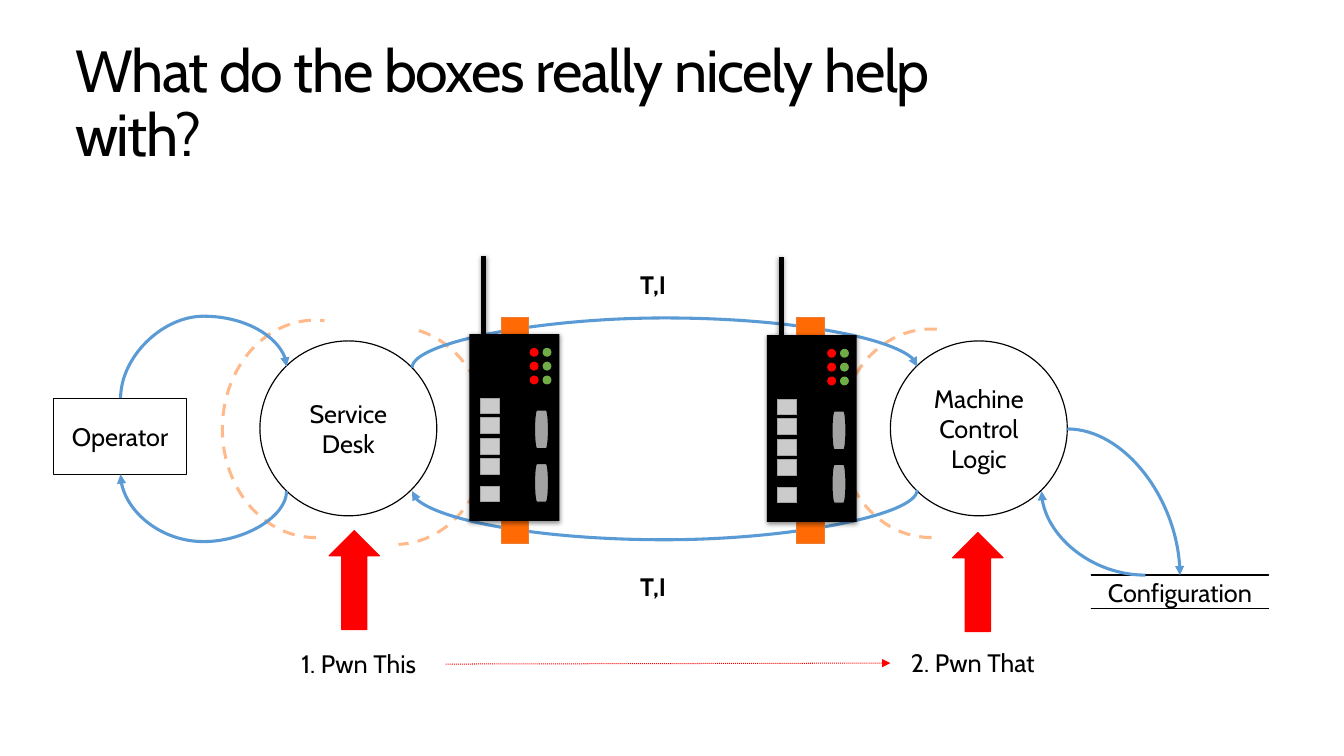
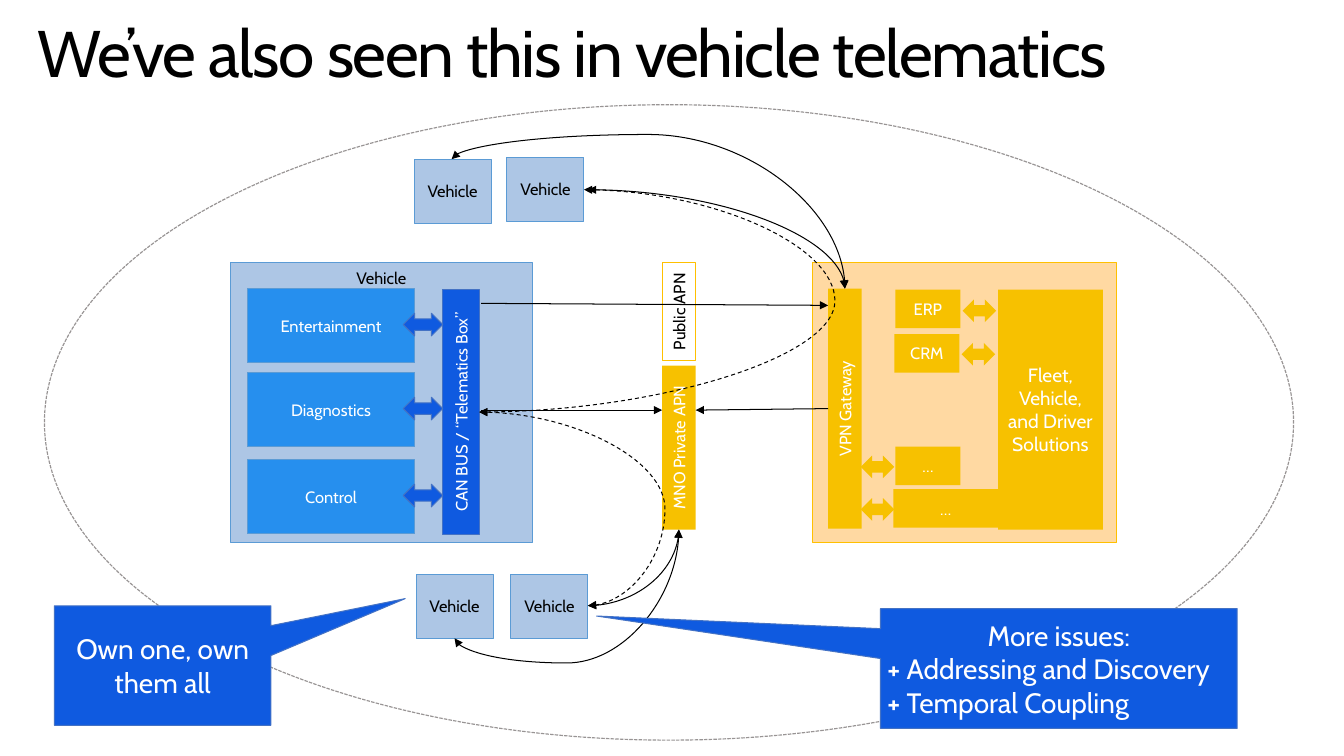
from lxml import etree
from pptx import Presentation
from pptx.dml.color import RGBColor
from pptx.enum.dml import MSO_LINE
from pptx.enum.shapes import MSO_CONNECTOR, MSO_SHAPE
from pptx.enum.text import MSO_ANCHOR, PP_ALIGN
from pptx.oxml.ns import qn
from pptx.util import Inches, Pt

RECT, OVAL, ARC = MSO_SHAPE.RECTANGLE, MSO_SHAPE.OVAL, MSO_SHAPE.ARC
EQUAL, UP = MSO_SHAPE.MATH_EQUAL, MSO_SHAPE.UP_ARROW
BOTH_WAYS, CALLOUT = MSO_SHAPE.LEFT_RIGHT_ARROW, MSO_SHAPE.RECTANGULAR_CALLOUT
PORT, ANTENNA = MSO_SHAPE.FLOWCHART_TERMINATOR, MSO_SHAPE.FLOWCHART_PROCESS
STRAIGHT, CURVE = MSO_CONNECTOR.STRAIGHT, MSO_CONNECTOR.CURVE
DASH, SYS_DASH, SYS_DOT = MSO_LINE.DASH, MSO_LINE.SQUARE_DOT, MSO_LINE.ROUND_DOT
LEFT, CENTER = PP_ALIGN.LEFT, PP_ALIGN.CENTER
TOP, MIDDLE = MSO_ANCHOR.TOP, MSO_ANCHOR.MIDDLE

FONT = "Cabin"
C = {
    "black": "000000", "white": "FFFFFF", "red": "FF0000", "green": "70AD47",
    "flow": "5B9BD5", "zone": "FF7619", "rail": "FF6A05", "rail_edge": "ED7D31",
    "socket": "CBCBCB", "socket_edge": "A5A5A5", "port": "A2A2A2", "cloud": "989494",
    "car": "ADC6E5", "module": "268FEE", "blue": "0F5AE0", "blue_edge": "4472C4",
    "yellow": "F7C100", "yellow_edge": "FFC000", "cream": "FFD9A2",
}
THIN = ("black", 0.85)
HAIR = ("black", 0.75)
FLOW = ("flow", 2.25)
CAR_EDGE, BLUE_EDGE = ("flow", 0.75), ("blue_edge", 0.75)
# Connection sites
T, L, B, R = range(4)
OVAL_TL, OVAL_BL, OVAL_BR, OVAL_R, OVAL_TR = 1, 3, 5, 6, 7

# Slide 1 content
DATA_FLOW = [  # name, shape, box, text
    ("desk", OVAL, (2.63, 3.45, 1.79, 1.77), "Service Desk"),
    ("logic", OVAL, (9.01, 3.45, 1.79, 1.77), "Machine Control Logic"),
    ("operator", RECT, (0.54, 4.03, 1.35, 0.77), "Operator"),
    ("config", EQUAL, (10.72, 5.53, 2.44, 0.92), "Configuration"),
]
ZONES = [  # box, arc angles in degrees
    ((2.25, 3.24, 1.88, 2.2), (89.64, 274.88)),
    ((8.5, 3.33, 1.84, 2.11), (89.64, 274.88)),
    ((3.06, 3.31, 1.88, 2.2), (282.68, 88.27)),
]
FLOWS = [  # start, end, turning height (None: one bend), joined shapes and sites
    ((10.8, 4.34), (11.94, 5.82), None, ("logic", OVAL_R), None),
    ((11.59, 5.82), (10.54, 4.97), None, None, ("logic", OVAL_BL)),
    ((9.28, 4.96), (4.17, 4.97), 5.47, ("logic", OVAL_BL), ("desk", OVAL_BR)),
    ((4.17, 3.72), (9.28, 3.71), 3.21, ("desk", OVAL_TR), ("logic", OVAL_TL)),
    ((1.22, 4.03), (2.9, 3.71), 3.2, ("operator", T), ("desk", OVAL_TL)),
    ((2.9, 4.97), (1.22, 4.8), 5.48, ("desk", OVAL_BL), ("operator", B)),
]
LABELS = [
    ((6.38, 2.68, 0.5, 0.42), "T,I", True),
    ((6.38, 5.73, 0.5, 0.42), "T,I", True),
    ((2.95, 6.51, 1.49, 0.42), "1. Pwn This", False),
    ((9.12, 6.5, 1.54, 0.42), "2. Pwn That", False),
]
DEVICES = [(4.75, 3.38), (7.76, 3.39)]
RAILS = [5.07, 8.06]
TARGETS = [(3.33, 5.37), (9.64, 5.39)]

# Slide 2 content
MODULES = [("Entertainment", 2.92), ("Diagnostics", 3.77), ("Control", 4.65)]
BACK_OFFICE = [  # name, box, text, size, vertical
    ("vpn", (8.38, 2.92, 0.34, 2.43), "VPN Gateway", 12, True),
    ("erp", (9.06, 2.93, 0.66, 0.39), "ERP", 12, False),
    ("crm", (9.05, 3.38, 0.66, 0.39), "CRM", 12, False),
    ("fleet", (10.1, 2.93, 1.06, 2.43), "Fleet, Vehicle, and Driver Solutions", 14, False),
    ("other", (9.06, 4.52, 0.66, 0.39), "…", 12, False),
    ("more", (9.04, 4.95, 1.06, 0.39), "…", 12, False),
    ("mno", (6.7, 3.7, 0.34, 1.66), "MNO Private APN", 12, True),
]
OFFICE_ARROWS = [(8.71, 4.61), (8.71, 5.04), (9.74, 3.03), (9.73, 3.47)]
CARS = [("car1", 4.19, 1.61), ("car2", 5.13, 1.59), ("car3", 4.21, 5.81), ("car4", 5.17, 5.81)]
LINKS = [  # start, end, turn, vertical start, dash, joined shapes and sites
    ((5.95, 1.92), (8.55, 2.92), None, False, None, ("car2", R), ("vpn", T)),
    ((5.95, 6.13), (6.87, 5.36), None, False, None, ("car4", R), ("mno", B)),
    ((4.6, 6.46), (6.87, 5.36), 6.71, True, None, ("car3", B), ("mno", B)),
    ((4.57, 1.61), (8.55, 2.92), 1.36, True, None, ("car1", T), ("vpn", T)),
    ((5.95, 6.13), (4.85, 4.17), 6.73, False, DASH, ("car4", R), ("bus", R)),
    ((4.85, 4.17), (5.91, 1.92), 8.45, False, DASH, ("bus", R), ("car2", R)),
]
CALLOUTS = [  # box, pointer, paragraphs of (alignment, runs of (text, bold))
    ((0.55, 6.13, 2.19, 1.21), (1.121, -0.56),
     [(CENTER, [("Own one, own them all", False)])]),
    ((8.91, 6.16, 3.61, 1.21), (-1.296, -0.439),
     [(CENTER, [("More issues:", False)]),
      (LEFT, [("+", True), (" Addressing and Discovery", False)]),
      (LEFT, [("+", True), (" Temporal Coupling", False)])]),
]


def rgb(name):
    return RGBColor.from_string(C[name])


def inches(values):
    return [Inches(v) for v in values]


def sub(parent, tag, **attrs):
    return etree.SubElement(parent, qn(tag), {k: str(v) for k, v in attrs.items()})


def set_line(line, color, width, dash=None, alpha=None):
    line.color.rgb = rgb(color)
    line.width = Pt(width)
    if dash:
        line.dash_style = dash
    if alpha:
        clr = line.fill._xPr.find(".//" + qn("a:srgbClr"))
        sub(clr, "a:alpha", val=alpha * 1000)


def write(sp, paragraphs, size=12, color="black", anchor=MIDDLE, ins=None,
          vertical=False, wrap=True):
    tf = sp.text_frame
    tf.word_wrap = wrap
    tf.vertical_anchor = anchor
    if ins:
        for side, v in zip(("left", "top", "right", "bottom"), ins):
            setattr(tf, "margin_" + side, Inches(v))
    if vertical:
        tf._txBody.bodyPr.set("vert", "vert270")
    for i, (align, runs) in enumerate(paragraphs):
        p = tf.add_paragraph() if i else tf.paragraphs[0]
        p.alignment = align
        for text, bold in runs:
            r = p.add_run()
            r.text = text
            for key, v in {"name": FONT, "size": Pt(size), "bold": bold}.items():
                setattr(r.font, key, v)
            r.font.color.rgb = rgb(color)
    return tf


def put(shapes, kind, box, fill=None, line=None, text=None, adj=(), shadow=False, **style):
    sp = shapes.add_shape(kind, *inches(box))
    sp.shadow.inherit = False
    for i, v in enumerate(adj):
        sp.adjustments[i] = v
    if fill:
        sp.fill.solid()
        sp.fill.fore_color.rgb = rgb(fill)
    else:
        sp.fill.background()
    if line:
        set_line(sp.line, *line)
    else:
        sp.line.fill.background()
    if shadow:
        shade = sub(sp._element.spPr.find(qn("a:effectLst")), "a:outerShdw",
                    blurRad=Pt(3.5), dist=Pt(1.1), dir=90 * 60000, rotWithShape=0)
        sub(sub(shade, "a:srgbClr", val=C["black"]), "a:alpha", val=45000)
    if text:
        paragraphs = [(CENTER, [(text, False)])] if isinstance(text, str) else text
        write(sp, paragraphs, **style)
    return sp


def add_title(s, text, box, size):
    sp = s.shapes.add_textbox(*inches(box))
    tf = write(sp, [(LEFT, [(text, False)])], size, anchor=TOP, ins=(0.16, 0.1, 0.16, 0.1))
    p = tf.paragraphs[0]
    p.line_spacing = 0.9
    p.runs[0].font._element.set("spc", "-100")


def finish(c, line, both=False):
    set_line(c.line, *line)
    ln = c.line._get_or_add_ln()
    for tag in (["a:headEnd"] if both else []) + ["a:tailEnd"]:
        sub(ln, tag, type="triangle")
    sub(c._element.spPr, "a:effectLst")


def arrow(s, start, end, line):
    c = s.shapes.add_connector(STRAIGHT, *inches(start + end))
    finish(c, line)
    return c


def curve(s, start, end, turn, vertical, line, joins, both=False):
    """Curved arrow; turn is the coordinate where a two-bend curve turns back."""
    c = s.shapes.add_connector(CURVE, *inches(start + end))
    (x1, y1), (x2, y2) = start, end
    dx, dy = x2 - x1, y2 - y1
    xfrm = c._element.spPr.find(qn("a:xfrm"))
    if vertical:  # a quarter turn about the same centre
        c.left, c.top, c.width, c.height = inches((
            (x1 + x2 - abs(dy)) / 2, (y1 + y2 - abs(dx)) / 2, abs(dy), abs(dx)))
        xfrm.set("rot", str(90 * 60000))
        flips = dy < 0, dx > 0
    else:
        flips = dx < 0, dy < 0
    for key, flip in zip(("flipH", "flipV"), flips):
        xfrm.set(key, str(int(flip)))
    geom = c._element.spPr.find(qn("a:prstGeom"))
    if turn is None:
        geom.set("prst", "curvedConnector2")
    else:
        share = (turn - y1) / dy if vertical else (turn - x1) / dx
        av = geom.find(qn("a:avLst"))
        sub(av, "a:gd", name="adj1", fmla=f"val {round(share * 100000)}")
    holder = c._element.find(".//" + qn("p:cNvCxnSpPr"))
    for tag, join in zip(("a:stCxn", "a:endCxn"), joins):
        if join:
            sub(holder, tag, id=join[0].shape_id, idx=join[1])
    finish(c, line, both)


def joined(nodes, *ends):
    return [end and (nodes[end[0]], end[1]) for end in ends]


def device(s, x, y):
    g = s.shapes.add_group_shape().shapes
    put(g, RECT, (x, y, 0.91, 1.89), "black", shadow=True)
    for dy in (0.65, 0.85, 1.06, 1.26, 1.54):
        put(g, RECT, (x + 0.11, y + dy, 0.19, 0.16), "socket", ("socket_edge", 0.75))
    for column, color in enumerate(("red", "green")):
        for row in range(3):
            put(g, OVAL, (x + 0.61 + 0.13 * column, y + 0.14 + 0.14 * row, 0.09, 0.09), color)
    for dy in (0.77, 1.31):
        put(g, PORT, (x + 0.66, y + dy, 0.14, 0.39), "port", HAIR)
    put(g, ANTENNA, (x + 0.12, y - 0.79, 0.05, 0.79), "black", shadow=True)


def build_boxes(s):
    add_title(s, "What do the boxes really nicely help with?", (0.6, 0.32, 9.83, 1.27), 43.2)
    nodes = {}
    for name, kind, box, text in DATA_FLOW:
        nodes[name] = put(s.shapes, kind, box, "black" if kind == EQUAL else "white", THIN, text,
                          adj=(0, 0.372) if kind == EQUAL else (), size=18.4,
                          ins=(0, 0, 0, 0) if kind == OVAL else None)
    for box, angles in ZONES:
        put(s.shapes, ARC, box, line=("zone", 2.25, DASH, 50), adj=[a * 0.6 for a in angles])
    for start, end, turn, *ends in FLOWS:
        curve(s, start, end, turn, turn is not None, FLOW, joined(nodes, *ends))
    for x in RAILS:
        put(s.shapes, RECT, (x, 3.21, 0.28, 2.29), "rail", ("rail_edge", 0.75))
    for x, y in DEVICES:
        device(s, x, y)
    for x, y in TARGETS:
        put(s.shapes, UP, (x, y, 0.51, 1), "red", ("red", 0.85))
    for box, text, bold in LABELS:
        write(s.shapes.add_textbox(*inches(box)), [(LEFT, [(text, bold)])], 18.4,
              anchor=TOP, wrap=False)
    arrow(s, (4.51, 6.72), (9.01, 6.71), ("red", 0.75, SYS_DOT))


def build_telematics(s):
    put(s.shapes, OVAL, (0.45, 1.06, 12.64, 6.43), "white", ("cloud", 0.85, SYS_DASH))
    add_title(s, "We’ve also seen this in vehicle telematics", (0.22, 0.11, 11.73, 0.94), 48)
    nodes = {}
    # Vehicle in detail
    put(s.shapes, RECT, (2.33, 2.66, 3.06, 2.83), "car", CAR_EDGE, "Vehicle", anchor=TOP)
    for text, y in MODULES:
        put(s.shapes, RECT, (2.5, y, 1.7, 0.75), "module", CAR_EDGE, text, color="white")
    nodes["bus"] = put(s.shapes, RECT, (4.48, 2.93, 0.37, 2.48), "blue", BLUE_EDGE,
                       "CAN BUS / “Telematics Box”", color="white", vertical=True)
    for _, y in MODULES:
        put(s.shapes, BOTH_WAYS, (4.08, y + 0.25, 0.4, 0.23), "blue", BLUE_EDGE)
    # Back office and networks
    put(s.shapes, RECT, (8.22, 2.66, 3.08, 2.83), "cream", ("yellow_edge", 0.75))
    for name, box, text, size, vertical in BACK_OFFICE:
        nodes[name] = put(s.shapes, RECT, box, "yellow", None, text, size=size,
                          color="white", vertical=vertical)
    for x, y in OFFICE_ARROWS:
        put(s.shapes, BOTH_WAYS, (x, y, 0.34, 0.23), "yellow")
    put(s.shapes, RECT, (6.7, 2.66, 0.34, 0.99), None, ("yellow_edge", 0.75), "Public APN",
        vertical=True)
    # Links
    arrow(s, (8.38, 4.14), (7.04, 4.15), HAIR).begin_connect(nodes["vpn"], L)
    arrow(s, (4.87, 4.15), (6.7, 4.15), HAIR)
    arrow(s, (4.87, 3.07), (8.38, 3.09), HAIR)
    for name, x, y in CARS:
        nodes[name] = put(s.shapes, RECT, (x, y, 0.78, 0.65), "car", CAR_EDGE, "Vehicle")
    for start, end, turn, vertical, dash, *ends in LINKS:
        curve(s, start, end, turn, vertical, HAIR + (dash,), joined(nodes, *ends), both=True)
    # Callouts
    for box, pointer, paragraphs in CALLOUTS:
        sp = put(s.shapes, CALLOUT, box, "blue", BLUE_EDGE, paragraphs, adj=pointer,
                 size=20.4, color="white", ins=(0, 0, 0, 0))
        for p in sp.text_frame.paragraphs:
            if p.alignment == LEFT:
                p._p.get_or_add_pPr().set("marL", str(Inches(0.07)))


def main():
    prs = Presentation()
    prs.slide_width, prs.slide_height = Inches(13.6), Inches(7.65)
    for build in (build_boxes, build_telematics):
        build(prs.slides.add_slide(prs.slide_layouts[6]))
    prs.save("out.pptx")


if __name__ == "__main__":
    main()
